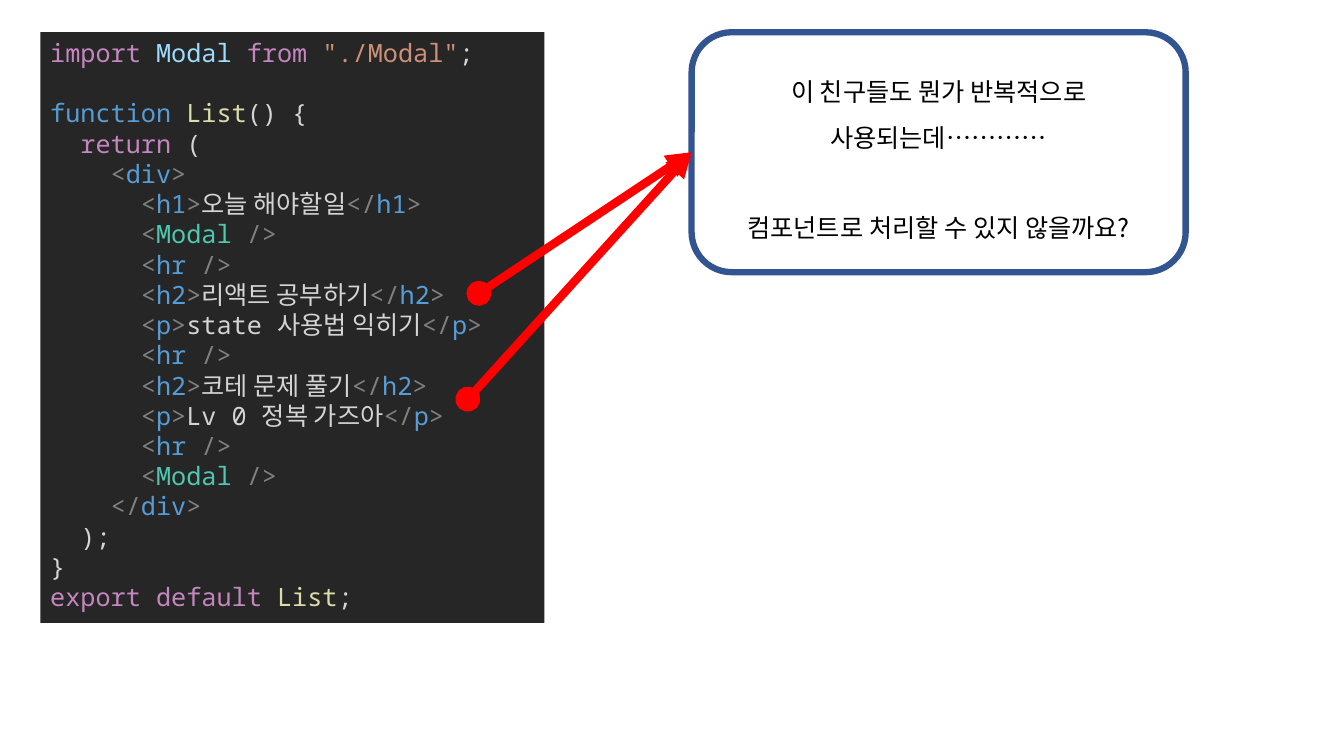
from dataclasses import dataclass

from lxml.etree import SubElement as Sub
from pptx import Presentation
from pptx.dml.color import RGBColor as Rgb
from pptx.enum.shapes import MSO_CONNECTOR as Line, MSO_SHAPE as Shape
from pptx.enum.text import MSO_ANCHOR as Anchor, MSO_AUTO_SIZE as Fit, PP_ALIGN as Align
from pptx.oxml.ns import qn
from pptx.util import Pt

PX = 9144  # 100 px to the inch


@dataclass(frozen=True)
class Theme:
    mono: str = "Noto Sans Mono"
    sans: str = "Noto Sans CJK KR"
    size: int = 18
    panel: str = "262626"
    ink: str = "000000"
    edge: str = "325491"
    arrow: str = "FF0000"
    # code colours
    key: str = "C586C0"
    var: str = "9CDCFE"
    text: str = "CE9178"
    plain: str = "D4D4D4"
    tag: str = "569CD6"
    func: str = "DCDCAA"
    mark: str = "808080"
    part: str = "4EC9B0"


LOOK = Theme()


def open_tag(name):
    return [("mark", "<"), ("tag", name), ("mark", ">")]


def end_tag(name):
    return [("mark", "</"), ("tag", name), ("mark", ">")]


def void(name, kind):
    return [("plain", " " * 6), ("mark", "<"), (kind, name + " "), ("mark", "/>")]


def full(name, words):
    return [("plain", " " * 6), *open_tag(name), ("plain", words), *end_tag(name)]


RULE = void("hr", "tag")
MODAL = void("Modal", "part")
CODE = [
    [("key", "import "), ("var", "Modal "), ("key", "from "),
     ("text", '"./Modal"'), ("plain", ";")],
    [("plain", "\n"), ("tag", "function "), ("func", "List"), ("plain", "() {")],
    [("plain", "  "), ("key", "return"), ("plain", " (")],
    [("plain", " " * 4), *open_tag("div")],
    full("h1", "오늘 해야할일"),
    MODAL,
    RULE,
    full("h2", "리액트 공부하기"),
    full("p", "state 사용법 익히기"),
    RULE,
    full("h2", "코테 문제 풀기"),
    full("p", "Lv 0 정복 가즈아"),
    RULE,
    MODAL,
    [("plain", " " * 4), *end_tag("div")],
    [("plain", "  );")],
    [("plain", "}")],
    [("key", "export default "), ("func", "List"), ("plain", ";")],
]
NOTE = [
    ("이 친구들도 뭔가 반복적으로", 0),
    ("사용되는데…………", 0),
    ("컴포넌트로 처리할 수 있지 않을까요?", 32.5),
]


def style(item, **form):
    for name, value in form.items():
        setattr(item, name, value)


def write(para, words, face, tone):
    run = para.add_run()
    run.text = words
    style(run.font, name=face, size=Pt(LOOK.size))
    run.font.color.rgb = Rgb.from_string(tone)
    Sub(run.font._element, qn("a:ea"), typeface=LOOK.sans)


def lines(frame, count):
    """Yield the paragraphs of a frame, adding those it lacks."""
    yield frame.paragraphs[0]
    for _ in range(count - 1):
        yield frame.add_paragraph()


def block(slide, kind, box):
    shape = slide.shapes.add_shape(kind, *(n * PX for n in box))
    shape.shadow.inherit = False
    return shape


def code_panel(slide, box):
    panel = block(slide, Shape.RECTANGLE, box)
    panel.fill.solid()
    panel.fill.fore_color.rgb = Rgb.from_string(LOOK.panel)
    panel.line.fill.background()
    frame = panel.text_frame
    style(frame, word_wrap=True, auto_size=Fit.SHAPE_TO_FIT_TEXT,
          vertical_anchor=Anchor.TOP)
    for para, row in zip(lines(frame, len(CODE)), CODE):
        para.alignment = Align.LEFT
        for kind, words in row:
            if words == "\n":
                para.add_line_break()
            else:
                write(para, words, LOOK.mono, getattr(LOOK, kind))


def callout(slide, box):
    shape = block(slide, Shape.ROUNDED_RECTANGLE, box)
    shape.fill.background()
    shape.line.color.rgb = Rgb.from_string(LOOK.edge)
    shape.line.width = Pt(4.5)
    frame = shape.text_frame
    style(frame, word_wrap=True, vertical_anchor=Anchor.MIDDLE)
    for para, (words, gap) in zip(lines(frame, len(NOTE)), NOTE):
        style(para, alignment=Align.CENTER, line_spacing=1.5)
        if gap:
            para.space_before = Pt(gap)
        write(para, words, LOOK.sans, LOOK.ink)
    return shape


def arrow(slide, start, goal):
    """Join a point to the middle of the goal's left side."""
    x, y = (n * PX for n in start)
    link = slide.shapes.add_connector(Line.STRAIGHT, x, y, x, y)
    link.end_connect(goal, 1)
    link.line.color.rgb = Rgb.from_string(LOOK.arrow)
    link.line.width = Pt(6)
    props = link._element.spPr
    edge = props.find(qn("a:ln"))
    Sub(edge, qn("a:headEnd"), type="oval")
    Sub(edge, qn("a:tailEnd"), type="triangle")
    Sub(props, qn("a:effectLst"))


def main():
    deck = Presentation()
    style(deck, slide_width=1333 * PX, slide_height=750 * PX)
    slide = deck.slides.add_slide(deck.slide_layouts[6])
    code_panel(slide, (40, 32, 500, 586))
    note = callout(slide, (686, 32, 490, 238))
    for start in ((475, 291), (464, 396)):
        arrow(slide, start, note)
    deck.save("out.pptx")


if __name__ == "__main__":
    main()
